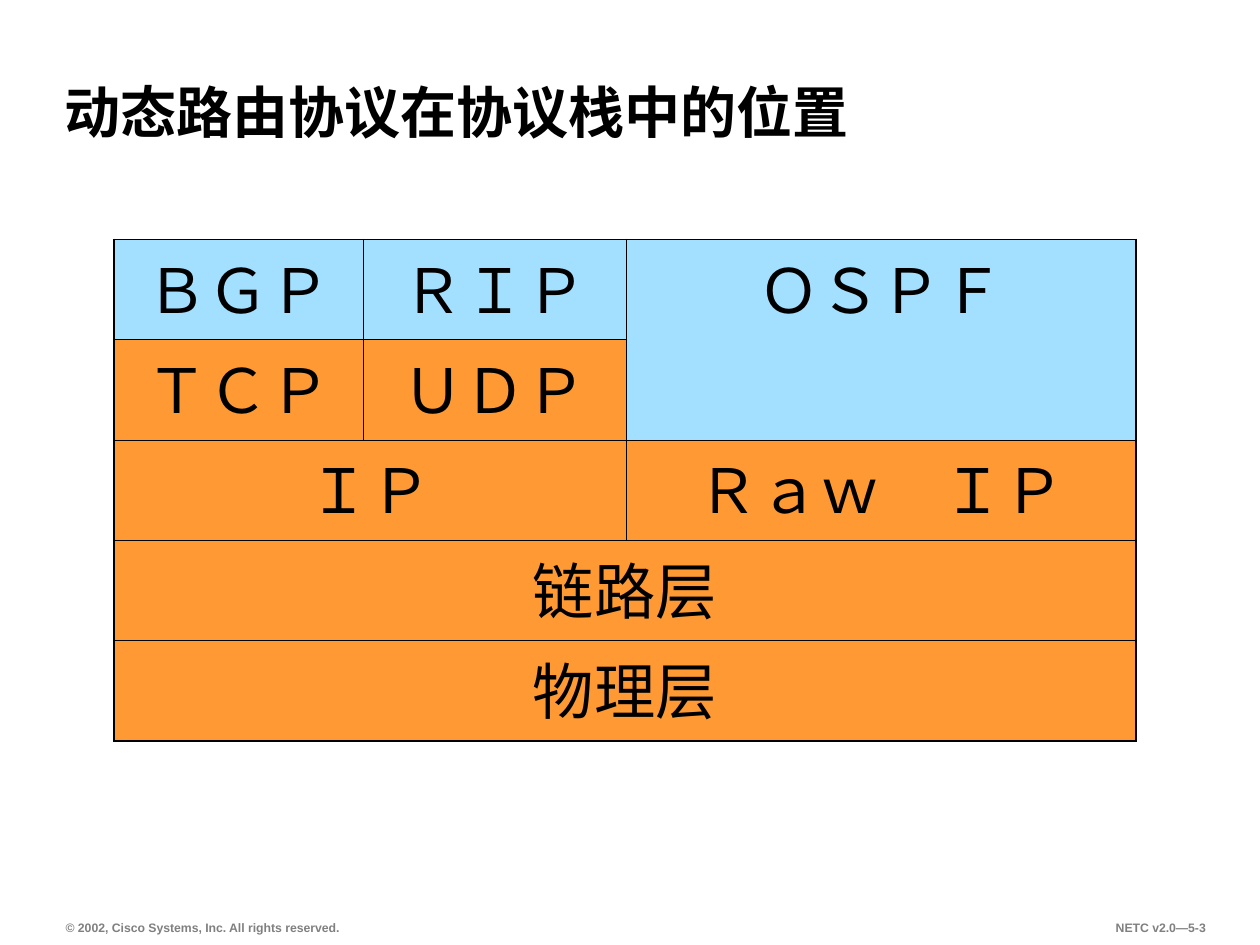
from dataclasses import dataclass
from lxml.etree import SubElement
from pptx import Presentation
from pptx.dml.color import RGBColor
from pptx.enum.text import MSO_ANCHOR, PP_ALIGN
from pptx.oxml.ns import qn
from pptx.util import Pt


@dataclass
class Theme:
    font: str = "Arial"
    ink: str = "000000"
    gray: str = "808080"
    blue: str = "A3E0FF"
    gold: str = "FF9933"
    head: int = 32
    body: int = 35
    foot: int = 7
    thick: float = 1.08
    thin: float = 0.45


theme = Theme()


def style(para, size, color, bold, align):
    para.alignment = align
    para.font.name = theme.font
    para.font.size = Pt(size)
    para.font.bold = bold
    para.font.color.rgb = RGBColor.from_string(color)


def border(cell, side, width):
    line = SubElement(cell._tc.get_or_add_tcPr(), qn(f"a:ln{side}"), w=str(Pt(width)))
    fill = SubElement(line, qn("a:solidFill"))
    SubElement(fill, qn("a:srgbClr"), val=theme.ink)


deck = Presentation()
deck.slide_width, deck.slide_height = Pt(720), Pt(540)
slide = deck.slides.add_slide(deck.slide_layouts[5])

title = slide.shapes.title
title.left, title.top, title.width, title.height = Pt(30.5), Pt(20), Pt(600), Pt(66.5)
frame = title.text_frame
frame.text = "动态路由协议在协议栈中的位置"
frame.vertical_anchor = MSO_ANCHOR.BOTTOM
frame.margin_left = frame.margin_right = Pt(6.5)
frame.margin_top = frame.margin_bottom = Pt(3)
frame.paragraphs[0].line_spacing = 0.9
style(frame.paragraphs[0], theme.head, theme.ink, True, PP_ALIGN.LEFT)

widths = [142.5, 150.5, 291]
count, height = 5, 57.35
grid = slide.shapes.add_table(
    count, len(widths), Pt(65), Pt(136.8), Pt(sum(widths)), Pt(count * height)
)
table = grid.table
table.first_row = table.horz_banding = False
for col, width in zip(table.columns, widths):
    col.width = Pt(width)
for row in table.rows:
    row.height = Pt(height)

blocks = [
    ("ＢＧＰ", 0, 0, 1, 1, theme.blue),
    ("ＲＩＰ", 0, 1, 1, 1, theme.blue),
    ("ＯＳＰＦ", 0, 2, 2, 1, theme.blue),
    ("ＴＣＰ", 1, 0, 1, 1, theme.gold),
    ("ＵＤＰ", 1, 1, 1, 1, theme.gold),
    ("ＩＰ", 2, 0, 1, 2, theme.gold),
    ("Ｒａｗ　ＩＰ", 2, 2, 1, 1, theme.gold),
    ("链路层", 3, 0, 1, 3, theme.gold),
    ("物理层", 4, 0, 1, 3, theme.gold),
]
for text, top, left, high, wide, color in blocks:
    cell = table.cell(top, left)
    end = table.cell(top + high - 1, left + wide - 1)
    if high * wide > 1:
        cell.merge(end)
    outer = {
        "L": left == 0,
        "R": left + wide == len(widths),
        "T": top == 0,
        "B": top + high == count,
    }
    for row in range(top, top + high):
        for col in range(left, left + wide):
            part = table.cell(row, col)
            for side, edge in outer.items():
                border(part, side, theme.thick if edge else theme.thin)
            part.fill.solid()
            part.fill.fore_color.rgb = RGBColor.from_string(color)
    cell.text = text
    para = cell.text_frame.paragraphs[0]
    para.line_spacing = 0.95
    style(para, theme.body, theme.ink, False, PP_ALIGN.CENTER)

notes = [
    ("© 2002, Cisco Systems, Inc. All rights reserved.", 31, 170, PP_ALIGN.LEFT, False),
    ("NETC v2.0—5-3", 603.5, 92, PP_ALIGN.RIGHT, True),
]
for text, left, width, align, wrap in notes:
    box = slide.shapes.add_textbox(Pt(left), Pt(522.7), Pt(width), Pt(15))
    frame = box.text_frame
    frame.text = text
    frame.word_wrap = wrap
    frame.vertical_anchor = MSO_ANCHOR.MIDDLE
    frame.margin_left = frame.margin_right = Pt(6.5)
    frame.margin_top = frame.margin_bottom = Pt(3)
    style(frame.paragraphs[0], theme.foot, theme.gray, True, align)

deck.save("out.pptx")
